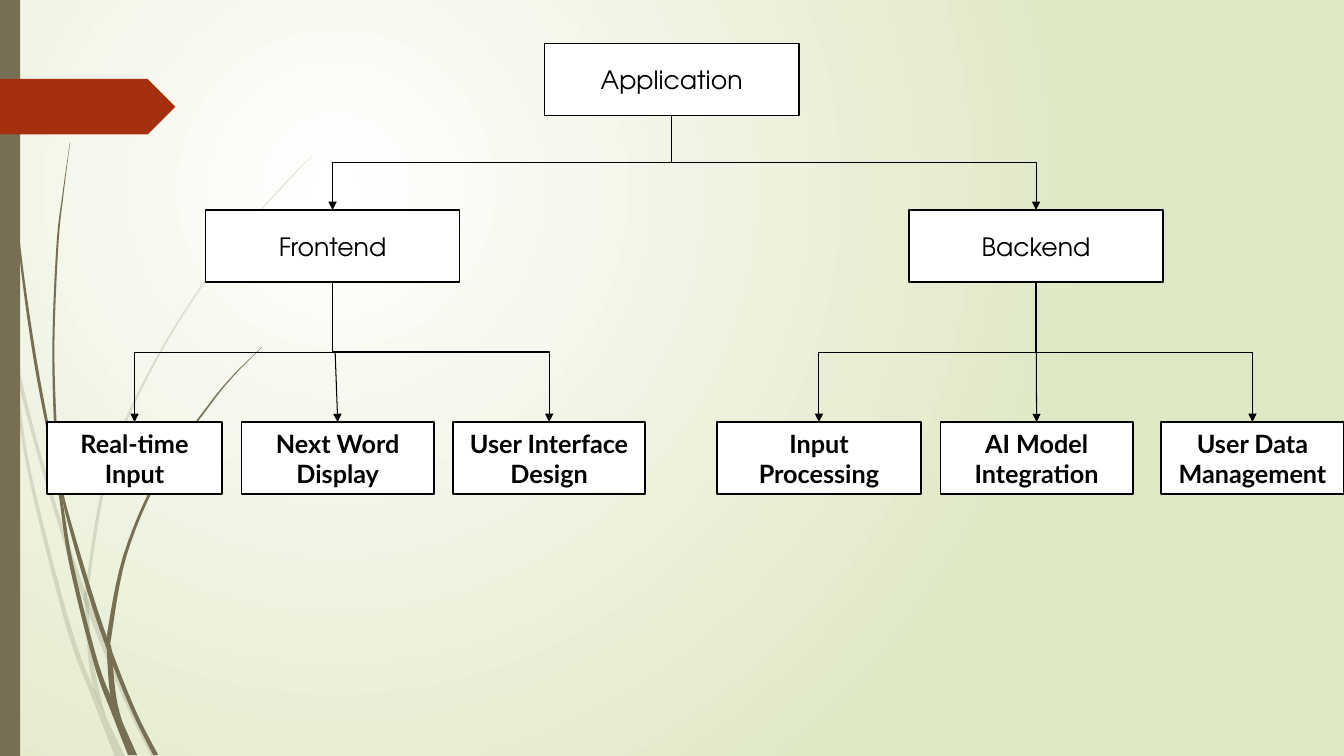
from pptx import Presentation
from pptx.dml.color import RGBColor
from pptx.enum.shapes import MSO_CONNECTOR, MSO_SHAPE
from pptx.enum.text import MSO_ANCHOR, PP_ALIGN
from pptx.oxml.ns import qn
from pptx.util import Pt
from lxml.etree import SubElement

BLACK, WHITE, OLIVE, RUST, LIME = "000000", "FFFFFF", "766F54", "A53010", "DFE8C4"


def paint(fill, color):
    fill.solid()
    fill.fore_color.rgb = RGBColor.from_string(color)


def write(shape, text, font="Lato", size=18, bold=False, color=BLACK):
    frame = shape.text_frame
    frame.word_wrap = True
    frame.vertical_anchor = MSO_ANCHOR.MIDDLE
    frame.margin_left = frame.margin_right = Pt(9)
    paragraph = frame.paragraphs[0]
    paragraph.alignment = PP_ALIGN.CENTER
    run = paragraph.add_run()
    run.text = text
    run.font.name, run.font.size, run.font.bold = font, Pt(size), bold
    run.font.color.rgb = RGBColor.from_string(color)


deck = Presentation()
deck.slide_width, deck.slide_height = Pt(960), Pt(540)
slide = deck.slides.add_slide(deck.slide_layouts[6])
shapes = slide.shapes

# Background: radial glow centred in the upper left quarter
glow = slide.background.fill
glow.gradient()
for stop, color in zip(glow.gradient_stops, (WHITE, LIME)):
    stop.color.rgb = RGBColor.from_string(color)
gradient = slide.element.find(".//" + qn("a:gradFill"))
gradient.remove(gradient.find(qn("a:lin")))
circle = SubElement(gradient, qn("a:path"), path="circle")
SubElement(circle, qn("a:fillToRect"), l="50000", t="50000", r="100000", b="100000")

# Grass blades: opacity in percent, then (left edge, height, thickness) along each blade
blades = [
    (20, [(0, 208, 2), (8, 252, 3), (24, 315, 2.5), (42, 376, 3), (60, 430, 4),
          (88.5, 500, 3.6), (108, 540, 3.6)]),
    (20, [(8, 252, 0), (10, 271, 2), (20, 338, 2.3), (47, 447, 3.4), (66, 499, 4),
          (82, 540, 7)]),
    (20, [(224.6, 110, 0), (208, 126, 1), (164, 176, 1), (114, 251, 1.5), (77, 332, 2.3),
          (61, 420, 2.3), (60.5, 431, 2.8), (62.6, 465, 3), (67, 492, 3.5), (75.6, 512, 0)]),
    (100, [(2, 0, 0.8), (5, 79, 0.8), (12.2, 168, 1.4), (23.8, 256, 2.2), (40.3, 343, 2),
           (49, 401, 2.9), (67, 474, 3.3), (80, 510, 5), (91.5, 539.5, 6.5)]),
    (100, [(43, 340, 0), (46, 364, 2.2), (63.4, 426, 3.2), (79, 471, 3.2), (95, 510, 3),
           (109.5, 539.5, 3.6)]),
    (100, [(50, 101.5, 0.2), (44.6, 139, 0.8), (40.3, 176, 1.4), (37.4, 251, 1.5),
           (39.6, 323, 2), (43, 345, 1)]),
    (100, [(187, 248, 0.3), (166, 268.5, 1), (147, 291.6, 1.4), (112, 341, 2), (88, 397, 2.4),
           (76.3, 454, 3.4), (76.3, 464, 3.4), (79, 497.5, 4), (87, 518, 1)]),
]
STEPS = 6
for opacity, knots in blades:
    # Catmull-Rom smoothing through the knots
    padded = [knots[0], *knots, knots[-1]]
    spine = []
    for a, b, c, d in zip(padded, padded[1:], padded[2:], padded[3:]):
        for step in range(STEPS):
            t = step / STEPS
            spine.append([
                (2 * q + (r - p) * t + (2 * p - 5 * q + 4 * r - s) * t**2
                 + (3 * q - p - 3 * r + s) * t**3) / 2
                for p, q, r, s in zip(a, b, c, d)])
    spine.append(knots[-1])
    left_edge = [(Pt(x), Pt(y)) for x, y, _ in spine]
    right_edge = [(Pt(x + max(width, 0)), Pt(y)) for x, y, width in reversed(spine)]
    outline = shapes.build_freeform(*left_edge[0])
    outline.add_line_segments(left_edge[1:] + right_edge)
    blade = outline.convert_to_shape()
    blade.shadow.inherit = False
    blade.line.fill.background()
    paint(blade.fill, OLIVE)
    if opacity < 100:
        tint = blade.element.spPr.find(".//" + qn("a:srgbClr"))
        SubElement(tint, qn("a:alpha"), val=str(opacity * 1000))

# Side bar and page marker
for kind, top, width, height, color in [
    (MSO_SHAPE.RECTANGLE, 0, 14.4, 540, OLIVE),
    (MSO_SHAPE.PENTAGON, 56.3, 125.3, 39.8, RUST),
]:
    ornament = shapes.add_shape(kind, 0, Pt(top), Pt(width), Pt(height))
    ornament.shadow.inherit = False
    ornament.line.fill.background()
    paint(ornament.fill, color)

# Hierarchy: name, parent, left, top, width
BOX_HEIGHT = 51.5
components = [
    ("Application", None, 389, 31, 181.5),
    ("Frontend", "Application", 146.8, 150, 181.5),
    ("Backend", "Application", 649.3, 150, 181.5),
    ("Real-time Input", "Frontend", 33.6, 301.5, 125),
    ("Next Word Display", "Frontend", 172.6, 301.5, 137.3),
    ("User Interface Design", "Frontend", 323.6, 301.5, 137.3),
    ("Input Processing", "Backend", 512, 301.5, 146),
    ("AI Model Integration", "Backend", 671.8, 301.5, 137.3),
    ("User Data Management", "Backend", 829.3, 301.5, 130.7),
]
places = {}
for name, parent, left, top, width in components:
    places[name] = (left + width / 2, top)
    box = shapes.add_shape(MSO_SHAPE.RECTANGLE, Pt(left), Pt(top), Pt(width), Pt(BOX_HEIGHT))
    box.shadow.inherit = False
    paint(box.fill, WHITE)
    paint(box.line.fill, BLACK)
    box.line.width = Pt(1.25)
    is_leaf = parent in ("Frontend", "Backend")
    write(box, name, font="Lato" if is_leaf else "TeX Gyre Adventor", bold=is_leaf)

for name, parent, *_ in components[1:]:
    child_x, child_top = places[name]
    parent_x, parent_top = places[parent]
    start_y = parent_top + BOX_HEIGHT
    middle_x, middle_y = (parent_x + child_x) / 2, (start_y + child_top) / 2
    run_x, drop = abs(child_x - parent_x), child_top - start_y
    if run_x < 5:
        arrow = shapes.add_connector(
            MSO_CONNECTOR.STRAIGHT, Pt(middle_x), Pt(middle_y), Pt(child_x), Pt(child_top))
    else:
        # A quarter turn makes the elbow leave downwards
        arrow = shapes.add_connector(
            MSO_CONNECTOR.ELBOW, Pt(middle_x - drop / 2), Pt(middle_y - run_x / 2),
            Pt(middle_x + drop / 2), Pt(middle_y + run_x / 2))
        frame = arrow.element.spPr.find(qn("a:xfrm"))
        if child_x > parent_x:
            frame.set("rot", "16200000")
            frame.set("flipH", "1")
        else:
            frame.set("rot", "5400000")
    paint(arrow.line.fill, BLACK)
    arrow.line.width = Pt(0.75)
    SubElement(arrow.line.fill._xPr, qn("a:tailEnd"), type="triangle")
    SubElement(arrow.element.spPr, qn("a:effectLst"))

deck.save("out.pptx")
